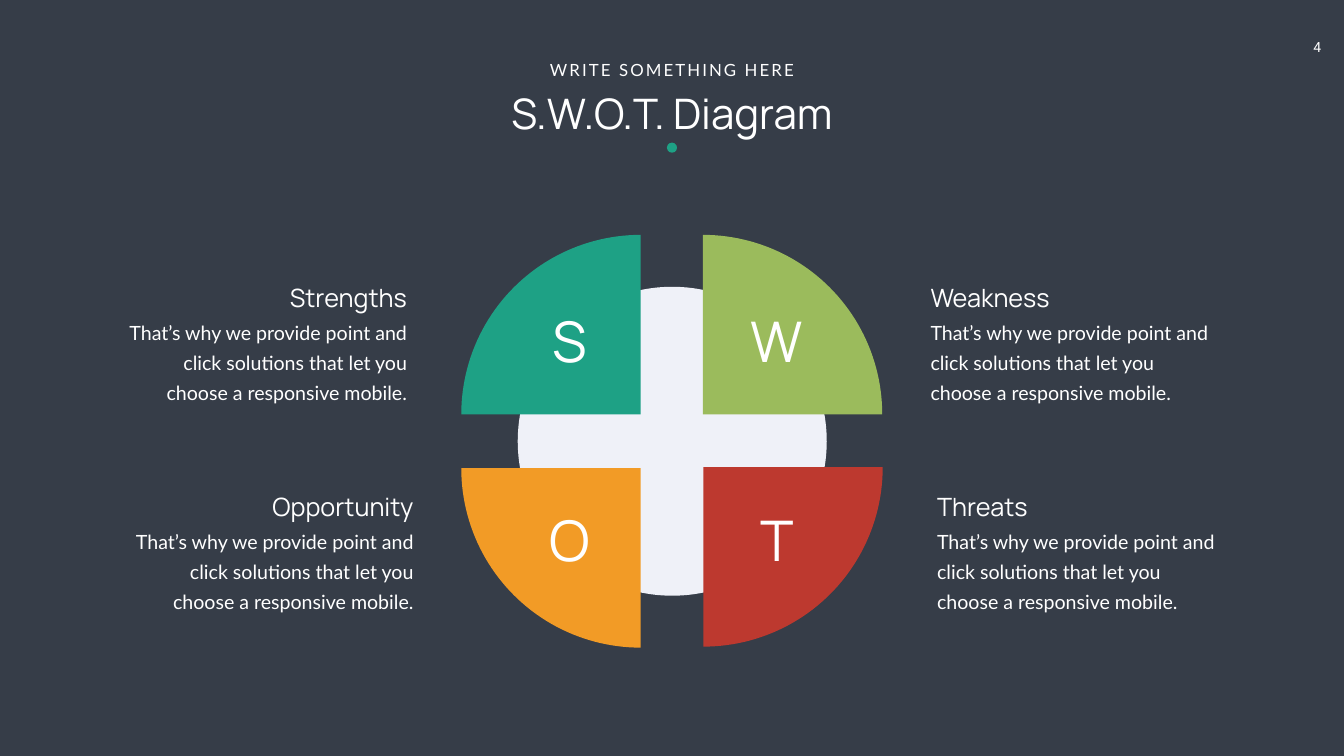
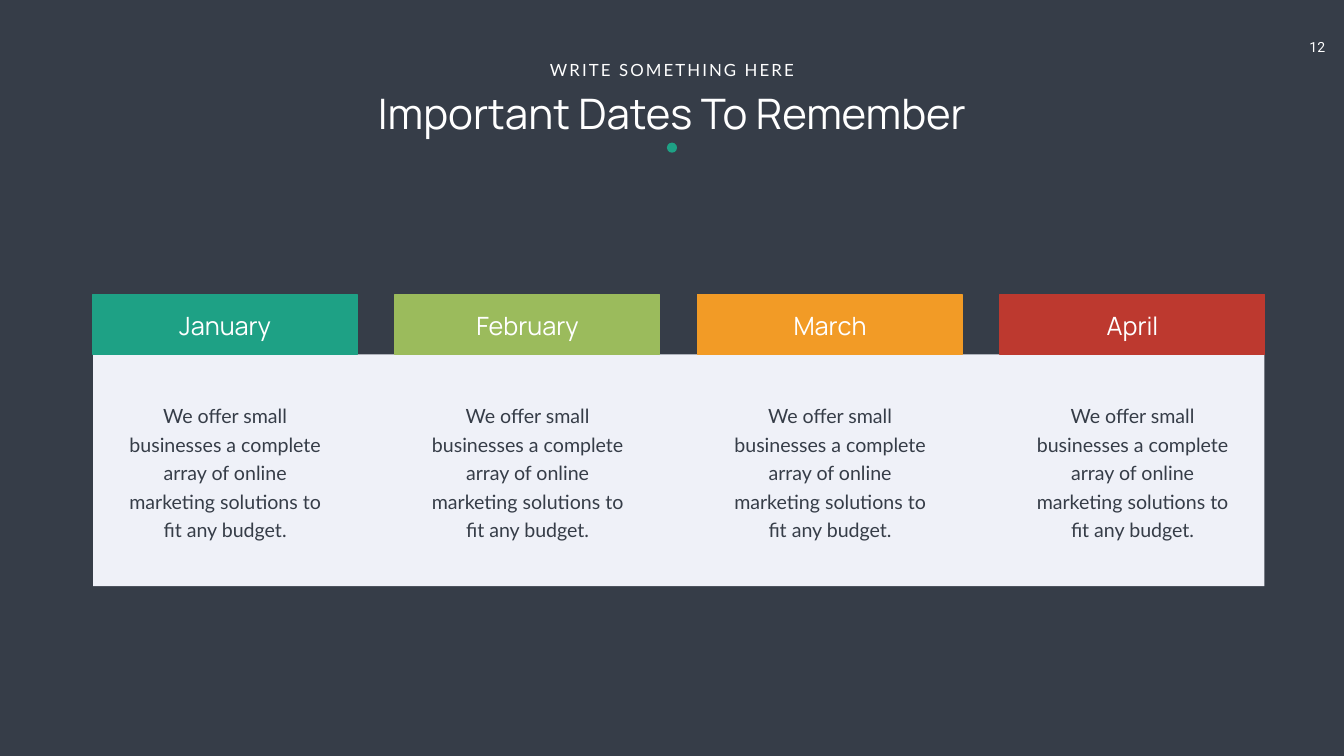
from collections import namedtuple

from pptx import Presentation
from pptx.dml.color import RGBColor
from pptx.enum.shapes import MSO_SHAPE as Shape
from pptx.enum.text import MSO_AUTO_SIZE as AutoSize, PP_ALIGN as Align
from pptx.util import Inches, Pt

SLATE = RGBColor(0x36, 0x3D, 0x48)
WHITE = RGBColor(0xFF, 0xFF, 0xFF)
PALE = RGBColor(0xEF, 0xF1, 0xF8)
TEAL = RGBColor(0x1E, 0xA1, 0x85)
GREEN = RGBColor(0x9B, 0xBB, 0x5C)
ORANGE = RGBColor(0xF2, 0x9B, 0x26)
RED = RGBColor(0xBD, 0x39, 0x2F)

HEADING_FONT = "Manrope"
BODY_FONT = "Lato"
NUMBER_FONT = "Roboto"

WEDGE_SIZE = 3.56
BODY_WIDTH = 5.77
SWOT_TEXT = "That’s why we provide point and click solutions that let you choose a responsive mobile."
MONTH_TEXT = "We offer small businesses a complete array of online marketing solutions to fit any budget."

Quadrant = namedtuple(
    "Quadrant", "letter letter_width heading heading_width color rotation wedge_left wedge_top body_left"
)
Row = namedtuple("Row", "letter_top heading_top body_top")

UPPER = Row(6.04, 5.55, 6.19)
LOWER = Row(9.98, 9.7, 10.33)
QUADRANTS = [
    (UPPER, Quadrant("W", 1.32, "Weakness", 2.82, GREEN, 90, 13.94, 4.66, 18.36)),
    (UPPER, Quadrant("S", 0.88, "Strengths", 2.66, TEAL, 0, 9.15, 4.66, 2.4)),
    (LOWER, Quadrant("T", 0.83, "Threats", 2.12, RED, 180, 13.95, 9.27, 18.49)),
    (LOWER, Quadrant("O", 1.11, "Opportunity", 3.26, ORANGE, 270, 9.15, 9.29, 2.53)),
]
MONTHS = [("January", TEAL), ("February", GREEN), ("March", ORANGE), ("April", RED)]


def add_text(shapes, text, left, top, width, height, size, font=HEADING_FONT,
             color=WHITE, align=Align.CENTER, wrap=True, line_spacing=None):
    """Add a one-paragraph text box and return it with its run."""
    box = shapes.add_textbox(Inches(left), Inches(top), Inches(width), Inches(height))
    frame = box.text_frame
    frame.word_wrap = wrap
    frame.auto_size = AutoSize.SHAPE_TO_FIT_TEXT
    paragraph = frame.paragraphs[0]
    paragraph.alignment = align
    if line_spacing:
        paragraph.line_spacing = Pt(line_spacing)
    run = paragraph.add_run()
    run.text = text
    run.font.name = font
    run.font.size = Pt(size)
    run.font.color.rgb = color
    return box, run


def add_filled(shapes, kind, left, top, width, height, color, line_width=None):
    """Add a flat shape, outlined in its own colour if a line width is given."""
    shape = shapes.add_shape(kind, Inches(left), Inches(top), Inches(width), Inches(height))
    shape.shadow.inherit = False
    shape.fill.solid()
    shape.fill.fore_color.rgb = color
    if line_width:
        shape.line.color.rgb = color
        shape.line.width = Pt(line_width)
    else:
        shape.line.fill.background()
    return shape


def add_page_number(slide, number):
    """Add the page number in the top right corner."""
    box, _ = add_text(slide.shapes, str(number), 25.69, 0.67, 1.01, 0.54, 20, NUMBER_FONT)
    frame = box.text_frame
    frame.margin_left, frame.margin_right = Inches(0.2), Inches(0.33)
    frame.margin_top = frame.margin_bottom = Inches(0.1)


def add_header(slide, title):
    """Add the grouped title, kicker line and dot."""
    shapes = slide.shapes.add_group_shape().shapes
    add_text(shapes, title, 5.3, 1.68, 16.06, 1.11, 60)
    _, kicker = add_text(shapes, "WRITE SOMETHING HERE", 10.76, 1.13, 5.14, 0.5, 24, BODY_FONT, wrap=False)
    kicker.font._element.set("spc", "300")
    add_filled(shapes, Shape.OVAL, 13.23, 2.83, 0.2, 0.2, TEAL)


def add_base_slide(presentation, title, number):
    """Add a dark slide with its page number and header."""
    slide = presentation.slides.add_slide(presentation.slide_layouts[6])
    slide.background.fill.solid()
    slide.background.fill.fore_color.rgb = SLATE
    add_page_number(slide, number)
    add_header(slide, title)
    return slide


def add_quadrant_text(slide, row, quadrant):
    """Add a heading and body, aligned towards the diagram."""
    on_right = quadrant.body_left > quadrant.wedge_left
    align = Align.LEFT if on_right else Align.RIGHT
    heading_left = quadrant.body_left
    if not on_right:
        heading_left += BODY_WIDTH - quadrant.heading_width
    add_text(slide.shapes, SWOT_TEXT, quadrant.body_left, row.body_top, BODY_WIDTH, 1.85, 28,
             BODY_FONT, align=align, line_spacing=43)
    add_text(slide.shapes, quadrant.heading, heading_left, row.heading_top,
             quadrant.heading_width, 0.71, 36, align=align, wrap=False)


def add_wedge(shapes, row, quadrant):
    """Add a quarter circle with its letter."""
    wedge = add_filled(shapes, Shape.PIE_WEDGE, quadrant.wedge_left, quadrant.wedge_top,
                       WEDGE_SIZE, WEDGE_SIZE, quadrant.color)
    wedge.rotation = quadrant.rotation
    letter_center = 15.4 if quadrant.body_left > quadrant.wedge_left else 11.3
    add_text(shapes, quadrant.letter, letter_center - quadrant.letter_width / 2, row.letter_top,
             quadrant.letter_width, 1.45, 80, wrap=False)


def build_swot(presentation):
    """Build the slide with the four-part diagram."""
    slide = add_base_slide(presentation, "S.W.O.T. Diagram", 4)
    add_filled(slide.shapes, Shape.OVAL, 10.27, 5.69, 6.13, 6.13, PALE)
    for row, quadrant in QUADRANTS:
        add_quadrant_text(slide, row, quadrant)
    wedges = slide.shapes.add_group_shape().shapes
    for row, quadrant in QUADRANTS:
        add_wedge(wedges, row, quadrant)


def build_dates(presentation):
    """Build the slide with the four month columns."""
    slide = add_base_slide(presentation, "Important Dates To Remember", 12)
    add_filled(slide.shapes, Shape.RECTANGLE, 1.85, 7.03, 23.23, 4.6, PALE)
    for index, (month, color) in enumerate(MONTHS):
        left = 1.84 + 6 * index
        add_filled(slide.shapes, Shape.RECTANGLE, left, 5.84, 5.24, 1.19, color, 2.25)
        add_text(slide.shapes, month, left + 0.46, 6.1, 4.33, 0.71, 36)
        add_text(slide.shapes, MONTH_TEXT, left + 0.6, 7.87, 4.05, 2.92, 28,
                 BODY_FONT, SLATE, line_spacing=40.8)


def main():
    """Build and save the presentation."""
    presentation = Presentation()
    presentation.slide_width = Inches(26.66)
    presentation.slide_height = Inches(15)
    build_swot(presentation)
    build_dates(presentation)
    presentation.save("out.pptx")


if __name__ == "__main__":
    main()
